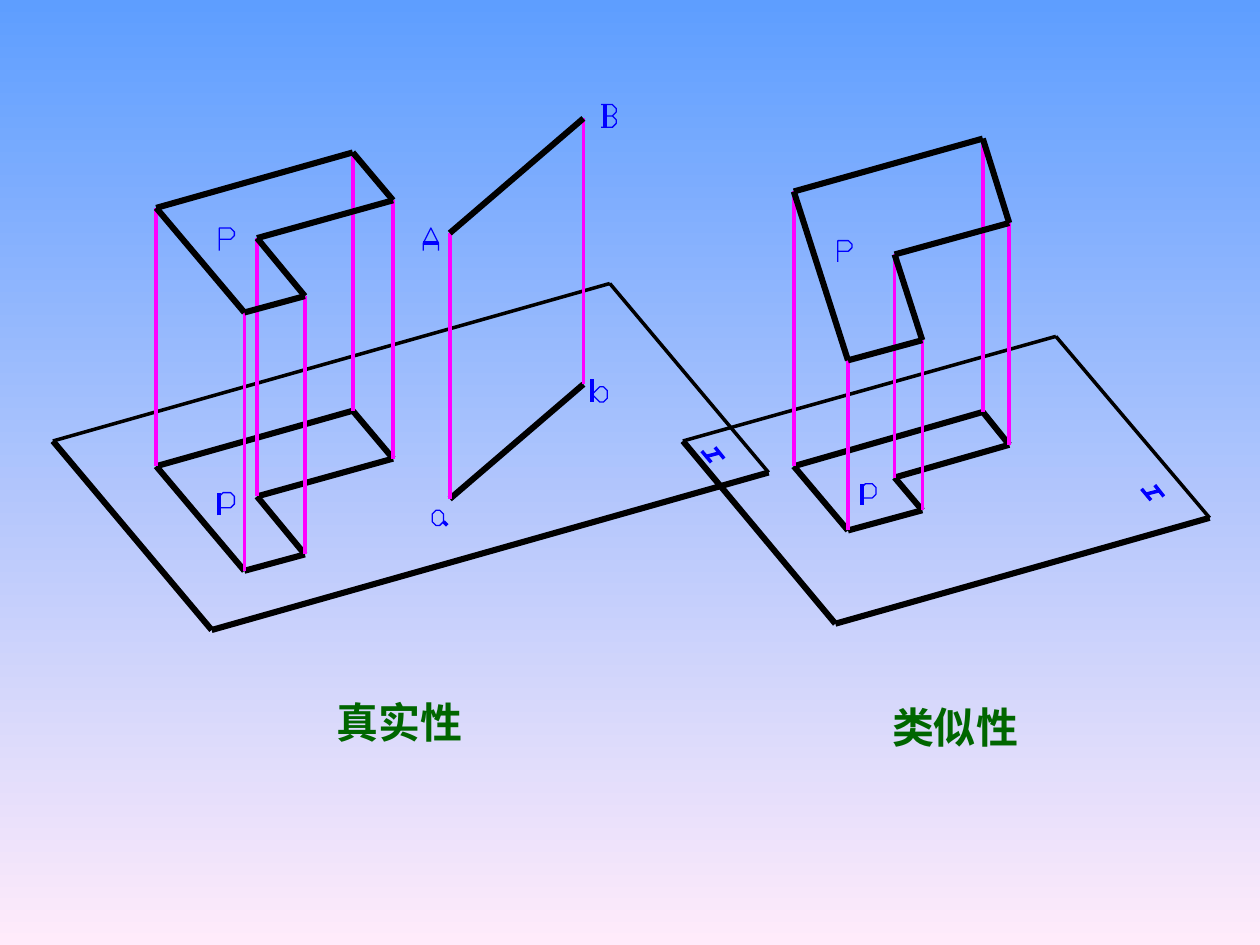
import pptx
import pptx.util
import pptx.dml.color
import pptx.enum.shapes
import pptx.enum.text
import pptx.oxml
import pptx.oxml.ns

BLACK, BLUE, MAGENTA, GREEN = "000000", "0000FF", "FF00FF", "006600"
FONT = "Noto Sans CJK SC"
HAIR, THICK = 0, 3.5

# Strokes of the drawn letters, on a grid six units high
GLYPHS = {
    "P": [[(0, 6), (0, 0), (3, 0), (4, 1), (4, 2), (3, 3), (0, 3)]],
    "p": [[(0, 6), (0, 0)],
          [(0, 1), (1, 0), (3, 0), (4, 1), (4, 3), (3, 4), (0, 4)]],
    "A": [[(0, 6), (0, 4), (2, 0), (4, 4), (4, 6)], [(0, 4), (4, 4)]],
    "B": [[(0, 6), (3, 6), (4, 5), (4, 4), (3, 3), (1, 3)],
          [(3, 3), (4, 2), (4, 1), (3, 0), (0, 0)],
          [(1, 0), (1, 6)]],
    "a": [[(2, 4), (1, 4), (0, 3), (0, 1), (1, 0), (2, 0), (3, 1), (3, 3), (2, 4)],
          [(3, 3), (4, 4)]],
    "b": [[(0, 6), (0, 0)],
          [(0, 4), (2, 2), (3, 2), (4, 3), (4, 5), (3, 6), (2, 6), (0, 4)]],
    "H": [[(2.5, 3), (0, 0)], [(1.2, 1.4), (4.7, 0.5)], [(3.5, -1), (5.9, 2)]],
}


def rgb(color):
    return pptx.dml.color.RGBColor.from_string(color)


def cm(inches):
    """Length for a drawing coordinate, which is kept in inches."""
    return pptx.util.Cm(inches * 2.54)


def set_line(sp, color, width):
    sp.line.color.rgb = rgb(color)
    sp.line.width = pptx.util.Pt(width)


def add_line(slide, start, end, color, width):
    sp = slide.shapes.add_connector(
        pptx.enum.shapes.MSO_CONNECTOR.STRAIGHT, *map(cm, start + end))
    set_line(sp, color, width)
    sp._element.spPr.append(pptx.oxml.parse_xml(
        "<a:effectLst %s/>" % pptx.oxml.ns.nsdecls("a")))


def add_stroke(slide, points):
    if len(points) == 2:
        add_line(slide, *points, BLUE, HAIR)
        return
    pts = [(cm(x), cm(y)) for x, y in points]
    builder = slide.shapes.build_freeform(*pts[0], scale=1.0)
    builder.add_line_segments(pts[1:], close=False)
    sp = builder.convert_to_shape()
    sp.shadow.inherit = False
    sp.fill.background()
    set_line(sp, BLUE, HAIR)


def add_letter(slide, letter, left, top, unit=0.03):
    for stroke in GLYPHS[letter]:
        add_stroke(slide, [(left + x * unit, top + y * unit) for x, y in stroke])


def add_plane(slide, corners):
    """Plane given from its back corner; the two front edges are thick."""
    widths = [HAIR, THICK, THICK, HAIR]
    for start, end, width in zip(corners, corners[1:] + corners[:1], widths):
        add_line(slide, start, end, BLACK, width)


def add_outline(slide, points):
    ends = points[1:] + points[:1] if len(points) > 2 else points[1:]
    for start, end in zip(points, ends):
        add_line(slide, start, end, BLACK, THICK)


def add_projection(slide, lower, heights):
    """Figure on the plane, its projectors and the figure in space above it."""
    upper = [(x, y - h) for (x, y), h in zip(lower, heights)]
    add_outline(slide, lower)
    for start, end in zip(lower, upper):
        add_line(slide, start, end, MAGENTA, HAIR)
    add_outline(slide, upper)


def add_caption(slide, text, left, top):
    sp = slide.shapes.add_textbox(cm(left), cm(top), cm(1), cm(0.4))
    tf = sp.text_frame
    tf.margin_left = tf.margin_right = tf.margin_top = tf.margin_bottom = 0
    tf.word_wrap = False
    tf.auto_size = pptx.enum.text.MSO_AUTO_SIZE.SHAPE_TO_FIT_TEXT
    p = tf.paragraphs[0]
    p.text = text
    p.alignment = pptx.enum.text.PP_ALIGN.CENTER
    p.font.size = pptx.util.Pt(24)
    p.font.bold = True
    p.font.color.rgb = rgb(GREEN)
    p.font.name = FONT
    latin = p._p.pPr.find(".//" + pptx.oxml.ns.qn("a:latin"))
    latin.addnext(pptx.oxml.parse_xml(
        '<a:ea %s typeface="%s"/>' % (pptx.oxml.ns.nsdecls("a"), FONT)))


def set_background(slide, top, bottom):
    fill = slide.background.fill
    fill.gradient()
    fill.gradient_angle = 270
    for stop, color, position in zip(fill.gradient_stops, (top, bottom), (0, 1)):
        stop.color.rgb = rgb(color)
        stop.position = position


def draw_true_size(slide):
    add_plane(slide, [(4.84, 2.25), (0.42, 3.5), (1.68, 5), (6.1, 3.75)])
    add_letter(slide, "H", 5.57, 3.58)
    add_projection(slide, [(1.24, 3.7), (2.8, 3.26), (3.12, 3.64),
                           (2.04, 3.94), (2.42, 4.4), (1.94, 4.53)], [2.05] * 6)
    add_projection(slide, [(3.57, 3.96), (4.63, 3.05)], [2.11] * 2)
    add_caption(slide, "真实性", 2.67, 5.53)
    for letter, left, top in [("P", 1.74, 1.81), ("p", 1.74, 3.91),
                              ("A", 3.36, 1.81), ("B", 4.77, 0.83),
                              ("a", 3.43, 4.05), ("b", 4.7, 3.01)]:
        add_letter(slide, letter, left, top)


def draw_similar_shape(slide):
    add_plane(slide, [(8.38, 2.67), (5.42, 3.5), (6.63, 4.95), (9.6, 4.11)])
    add_letter(slide, "H", 9.06, 3.88)
    add_projection(slide, [(6.3, 3.7), (7.8, 3.27), (8.01, 3.53),
                           (7.1, 3.79), (7.32, 4.05), (6.73, 4.21)],
                   [2.18, 2.17, 1.76, 1.77, 1.35, 1.35])
    add_caption(slide, "类似性", 7.08, 5.57)
    add_letter(slide, "P", 6.65, 1.91, 0.028)
    add_letter(slide, "p", 6.84, 3.84, 0.028)


def main():
    prs = pptx.Presentation()
    prs.slide_width, prs.slide_height = pptx.util.Cm(25.4), pptx.util.Cm(19.05)
    slide = prs.slides.add_slide(prs.slide_layouts[6])
    set_background(slide, "5E9EFF", "FFEBFA")
    draw_true_size(slide)
    draw_similar_shape(slide)
    prs.save("out.pptx")


if __name__ == "__main__":
    main()
